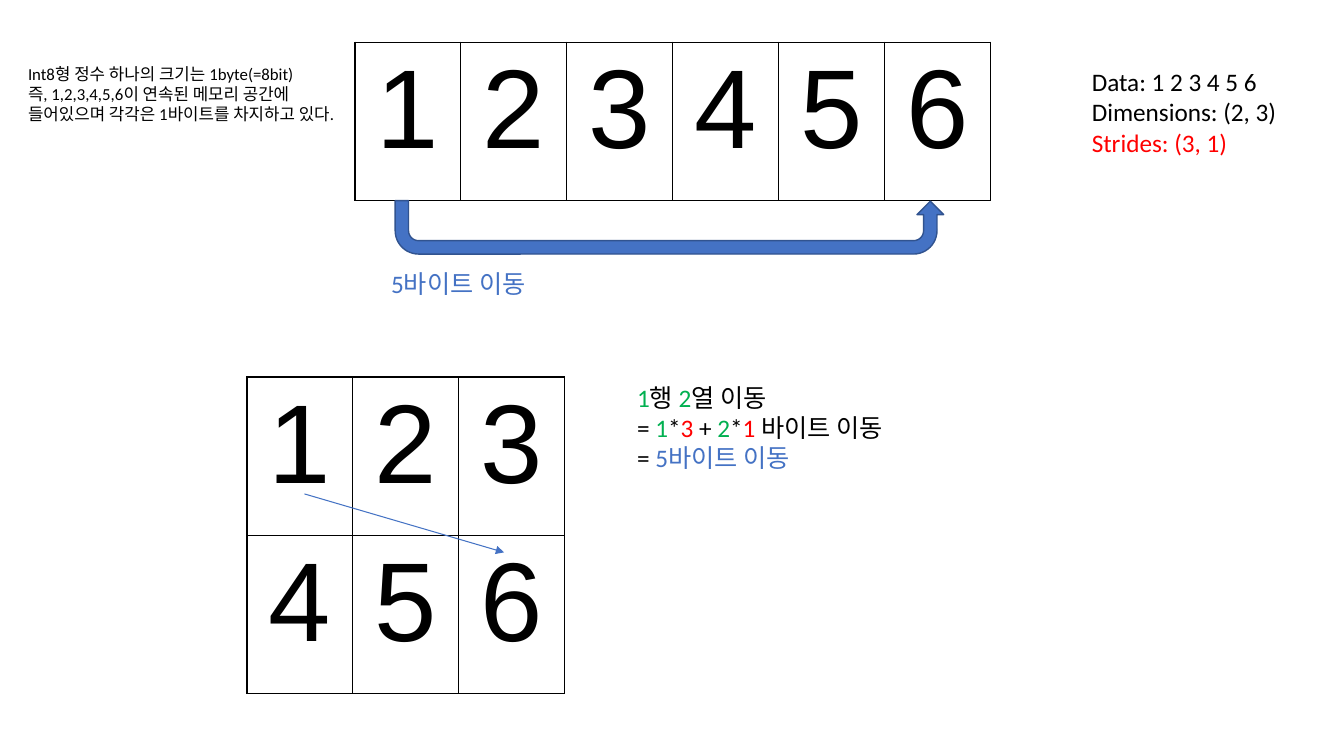
"""Build a slide that explains array strides with a flat and a 2 by 3 memory layout."""
from lxml.etree import SubElement
from pptx import Presentation
from pptx.dml.color import RGBColor
from pptx.enum.shapes import MSO_CONNECTOR, MSO_SHAPE
from pptx.enum.text import PP_ALIGN
from pptx.oxml.ns import qn
from pptx.util import Inches, Pt

BLACK = RGBColor(0x00, 0x00, 0x00)
RED = RGBColor(0xFF, 0x00, 0x00)
GREEN = RGBColor(0x00, 0xB0, 0x50)
BLUE = RGBColor(0x44, 0x72, 0xC4)
DARK_BLUE = RGBColor(0x31, 0x53, 0x8F)

CELL_WIDTH = 1.05
CELL_HEIGHT = 1.57


def write_text(text_frame, lines, size=18, font="Calibri", align=PP_ALIGN.LEFT):
    """Write lines, each a list of (text, color) runs, into a text frame."""
    for index, line in enumerate(lines):
        paragraph = text_frame.add_paragraph() if index else text_frame.paragraphs[0]
        paragraph.alignment = align
        for text, color in line:
            run = paragraph.add_run()
            run.text = text
            run.font.size = Pt(size)
            run.font.name = font
            run.font.color.rgb = color


def add_text(slide, left, top, width, height, lines, **text_format):
    """Add a wrapping text box."""
    box = slide.shapes.add_textbox(Inches(left), Inches(top), Inches(width), Inches(height))
    box.text_frame.word_wrap = True
    write_text(box.text_frame, lines, **text_format)


def set_borders(cell):
    """Give a table cell thin black borders and no fill."""
    properties = cell._tc.get_or_add_tcPr()
    for side in ("a:lnL", "a:lnR", "a:lnT", "a:lnB"):
        border = SubElement(properties, qn(side), w=str(Pt(1)))
        fill = SubElement(border, qn("a:solidFill"))
        SubElement(fill, qn("a:srgbClr"), val=str(BLACK))
    cell.fill.background()


def add_number_grid(slide, left, top, rows, columns):
    """Add a table that counts up from 1, row by row."""
    frame = slide.shapes.add_table(
        rows, columns, Inches(left), Inches(top),
        Inches(columns * CELL_WIDTH), Inches(rows * CELL_HEIGHT))
    table = frame.table
    table.first_row = False
    table.horz_banding = False
    for number, cell in enumerate(table.iter_cells(), start=1):
        write_text(cell.text_frame, [[(str(number), BLACK)]],
                   size=80, font="Arial", align=PP_ALIGN.CENTER)
        set_borders(cell)


def add_arrow(slide, start, end):
    """Add a thin straight arrow between two points."""
    arrow = slide.shapes.add_connector(
        MSO_CONNECTOR.STRAIGHT, *(Inches(length) for length in start + end))
    arrow.line.color.rgb = BLUE
    arrow.line.width = Pt(0.75)
    SubElement(arrow.line._get_or_add_ln(), qn("a:tailEnd"), type="triangle")
    SubElement(arrow._element.spPr, qn("a:effectLst"))


def add_uturn_arrow(slide, left, top, width, height):
    """Add a U-turn arrow that runs below a row and points up at its right end."""
    arrow = slide.shapes.add_shape(
        MSO_SHAPE.U_TURN_ARROW, Inches(left), Inches(top), Inches(width), Inches(height))
    arrow.rotation = 180
    arrow._element.spPr.xfrm.set("flipH", "1")
    for index, value in enumerate((0.25, 0.25, 0.25, 0.438, 0.989)):
        arrow.adjustments[index] = value
    arrow.fill.solid()
    arrow.fill.fore_color.rgb = BLUE
    arrow.line.color.rgb = DARK_BLUE
    arrow.line.width = Pt(1)
    arrow.shadow.inherit = False


def main():
    """Build and save the slide."""
    presentation = Presentation()
    presentation.slide_width = Inches(13.33)
    presentation.slide_height = Inches(7.5)
    slide = presentation.slides.add_slide(presentation.slide_layouts[6])

    add_number_grid(slide, 3.52, 0.42, rows=1, columns=6)
    add_number_grid(slide, 2.45, 3.74, rows=2, columns=3)
    add_text(slide, 10.73, 0.61, 2.05, 1.01, [
        [("Data: 1 2 3 4 5 6", BLACK)],
        [("Dimensions: (2, 3)", BLACK)],
        [("Strides: (3, 1)", RED)],
    ])
    add_text(slide, 0.18, 0.58, 3.33, 0.91, [
        [("Int8형 정수 하나의 크기는 1byte(=8bit)", BLACK)],
        [("즉, 1,2,3,4,5,6이 연속된 메모리 공간에 들어있으며 "
          "각각은 1바이트를 차지하고 있다.", BLACK)],
    ], size=12)
    add_arrow(slide, (3.02, 4.9), (5, 5.48))
    add_uturn_arrow(slide, 3.92, 1.99, 5.44, 0.53)

    result = ("5바이트 이동", BLUE)
    add_text(slide, 3.78, 2.61, 2.78, 0.4, [[result]])
    add_text(slide, 6.22, 3.74, 2.77, 1.01, [
        [("1", GREEN), ("행 ", BLACK), ("2", GREEN), ("열 이동", BLACK)],
        [("= ", BLACK), ("1", GREEN), ("*", BLACK), ("3", RED), (" + ", BLACK),
         ("2", GREEN), ("*", BLACK), ("1", RED), (" 바이트 이동", BLACK)],
        [("= ", BLACK), result],
    ])
    presentation.save("out.pptx")


main()
